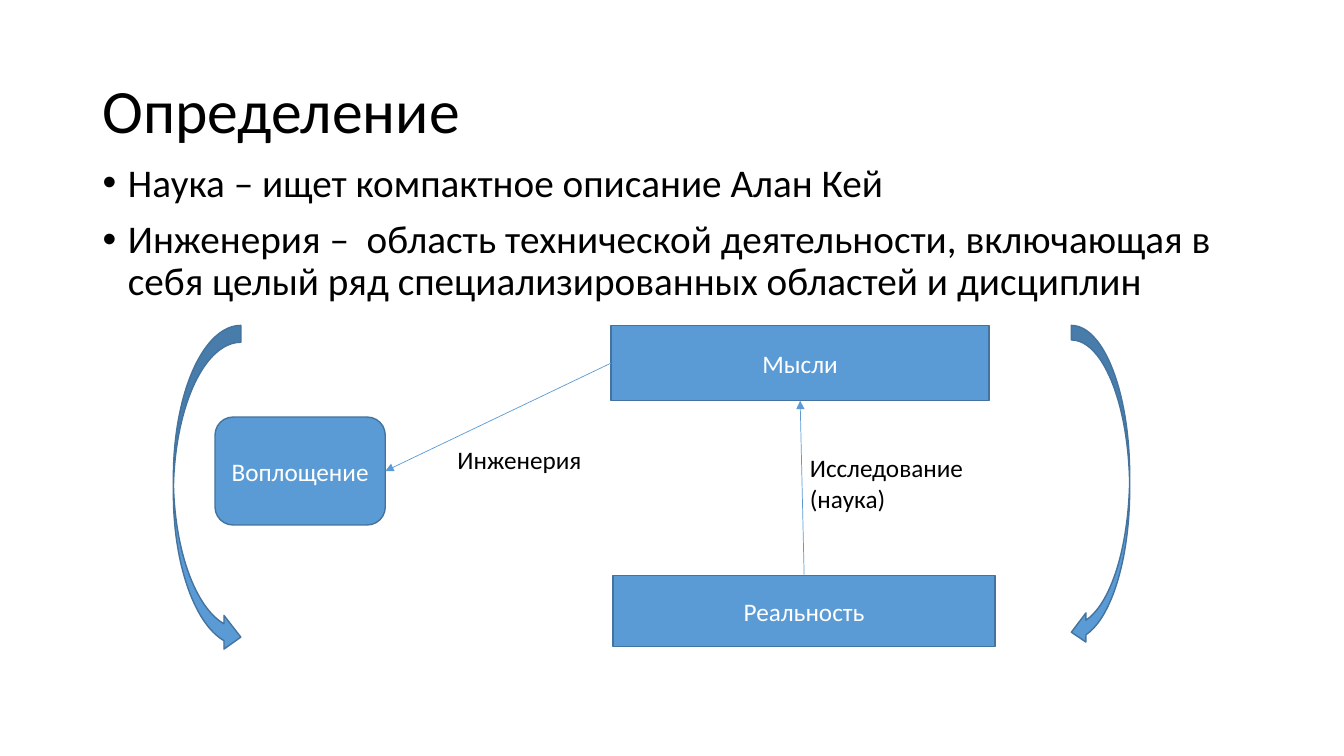
from dataclasses import dataclass

from lxml.etree import SubElement
from pptx import Presentation
from pptx.dml.color import RGBColor
from pptx.enum.shapes import MSO_CONNECTOR, MSO_SHAPE
from pptx.enum.text import MSO_ANCHOR, MSO_AUTO_SIZE, PP_ALIGN
from pptx.oxml.ns import qn
from pptx.shapes.autoshape import Shape
from pptx.slide import Slide
from pptx.text.text import TextFrame
from pptx.util import Cm, Pt


@dataclass(frozen=True)
class Theme:
    font: str = "Calibri"
    ink: str = "000000"
    light: str = "FFFFFF"
    fill: str = "5B9BD5"
    outline: str = "43739E"
    title_size: int = 44
    body_size: int = 28
    label_size: int = 18
    outline_width: float = 1
    link_width: float = 0.5


@dataclass(frozen=True)
class Box:
    left: float
    top: float
    width: float
    height: float

    def emu(self) -> tuple:
        return Cm(self.left), Cm(self.top), Cm(self.width), Cm(self.height)


@dataclass(frozen=True)
class Node:
    kind: MSO_SHAPE
    box: Box
    text: str = ""


@dataclass(frozen=True)
class Link:
    start: str
    start_site: int
    end: str
    end_site: int


@dataclass(frozen=True)
class Label:
    text: str
    box: Box


THEME = Theme()
TOP, LEFT, BOTTOM, RIGHT = range(4)

TITLE = "Определение"
TITLE_BOX = Box(2.33, 1.01, 29.21, 3.68)
BODY_BOX = Box(2.33, 3.99, 29.21, 13.18)
DEFINITIONS = [
    "Наука – ищет компактное описание Алан Кей",
    "Инженерия –  область технической деятельности, включающая в себя "
    "целый ряд специализированных областей и дисциплин",
]
NODES = [
    Node(MSO_SHAPE.RECTANGLE, Box(15.45, 14.5, 9.63, 1.8), "Реальность"),
    Node(MSO_SHAPE.RECTANGLE, Box(15.4, 8.2, 9.53, 1.9), "Мысли"),
    Node(MSO_SHAPE.ROUNDED_RECTANGLE, Box(5.42, 10.51, 4.29, 2.72), "Воплощение"),
]
LINKS = [
    Link("Реальность", TOP, "Мысли", BOTTOM),
    Link("Мысли", LEFT, "Воплощение", RIGHT),
]
LABELS = [
    Label("Исследование (наука)", Box(20.16, 11.28, 4.65, 1.8)),
    Label("Инженерия", Box(11.28, 11.07, 4.34, 1.02)),
]
CYCLE_ARROWS = [
    Node(MSO_SHAPE.CURVED_RIGHT_ARROW, Box(4.37, 8.2, 1.7, 8.28)),
    Node(MSO_SHAPE.CURVED_LEFT_ARROW, Box(27, 8.2, 1.47, 8.1)),
]


def format_text(tf: TextFrame, size: int, color: str, align: PP_ALIGN) -> None:
    for p in tf.paragraphs:
        p.alignment = align
        for r in p.runs:
            r.font.name = THEME.font
            r.font.size = Pt(size)
            r.font.color.rgb = RGBColor.from_string(color)


def fill_placeholder(sp: Shape, box: Box, text: str, size: int, anchor: MSO_ANCHOR) -> None:
    sp.left, sp.top, sp.width, sp.height = box.emu()
    tf = sp.text_frame
    tf.text = text
    tf.word_wrap = True
    tf.auto_size = MSO_AUTO_SIZE.NONE
    tf.vertical_anchor = anchor
    format_text(tf, size, THEME.ink, PP_ALIGN.LEFT)
    for p in tf.paragraphs:
        p.line_spacing = 0.9


def add_bullets(tf: TextFrame) -> None:
    for p in tf.paragraphs:
        p.space_before = Pt(10)
        pPr = p._p.get_or_add_pPr()
        pPr.set("marL", str(Cm(0.64)))
        pPr.set("indent", str(-Cm(0.64)))
        SubElement(pPr, qn("a:buFont"), typeface="Arial")
        SubElement(pPr, qn("a:buChar"), char="•")


def add_node(s: Slide, node: Node) -> Shape:
    sp = s.shapes.add_shape(node.kind, *node.box.emu())
    sp.shadow.inherit = False
    sp.fill.solid()
    sp.fill.fore_color.rgb = RGBColor.from_string(THEME.fill)
    sp.line.color.rgb = RGBColor.from_string(THEME.outline)
    sp.line.width = Pt(THEME.outline_width)
    if node.text:
        tf = sp.text_frame
        tf.text = node.text
        tf.vertical_anchor = MSO_ANCHOR.MIDDLE
        format_text(tf, THEME.label_size, THEME.light, PP_ALIGN.CENTER)
    return sp


def add_link(s: Slide, link: Link, shapes: dict[str, Shape]) -> None:
    cx = s.shapes.add_connector(MSO_CONNECTOR.STRAIGHT, 0, 0, 0, 0)
    cx.begin_connect(shapes[link.start], link.start_site)
    cx.end_connect(shapes[link.end], link.end_site)
    cx.line.color.rgb = RGBColor.from_string(THEME.fill)
    cx.line.width = Pt(THEME.link_width)
    SubElement(cx.line._get_or_add_ln(), qn("a:tailEnd"), type="triangle")
    SubElement(cx._element.spPr, qn("a:effectLst"))


def add_label(s: Slide, label: Label) -> None:
    tf = s.shapes.add_textbox(*label.box.emu()).text_frame
    tf.text = label.text
    tf.word_wrap = True
    tf.auto_size = MSO_AUTO_SIZE.SHAPE_TO_FIT_TEXT
    format_text(tf, THEME.label_size, THEME.ink, PP_ALIGN.LEFT)


def main() -> None:
    prs = Presentation()
    prs.slide_width, prs.slide_height = Cm(33.87), Cm(19.05)
    s = prs.slides.add_slide(prs.slide_layouts[1])

    # Title and definitions
    body = s.placeholders[1]
    fill_placeholder(s.shapes.title, TITLE_BOX, TITLE, THEME.title_size, MSO_ANCHOR.MIDDLE)
    fill_placeholder(body, BODY_BOX, "\n".join(DEFINITIONS), THEME.body_size, MSO_ANCHOR.TOP)
    add_bullets(body.text_frame)

    # Diagram: nodes, the links between them and their labels
    shapes = {node.text: add_node(s, node) for node in NODES}
    for link in LINKS:
        add_link(s, link, shapes)
    for label in LABELS:
        add_label(s, label)

    # Curved arrows on both sides
    for arrow in CYCLE_ARROWS:
        add_node(s, arrow)

    prs.save("out.pptx")


if __name__ == "__main__":
    main()
